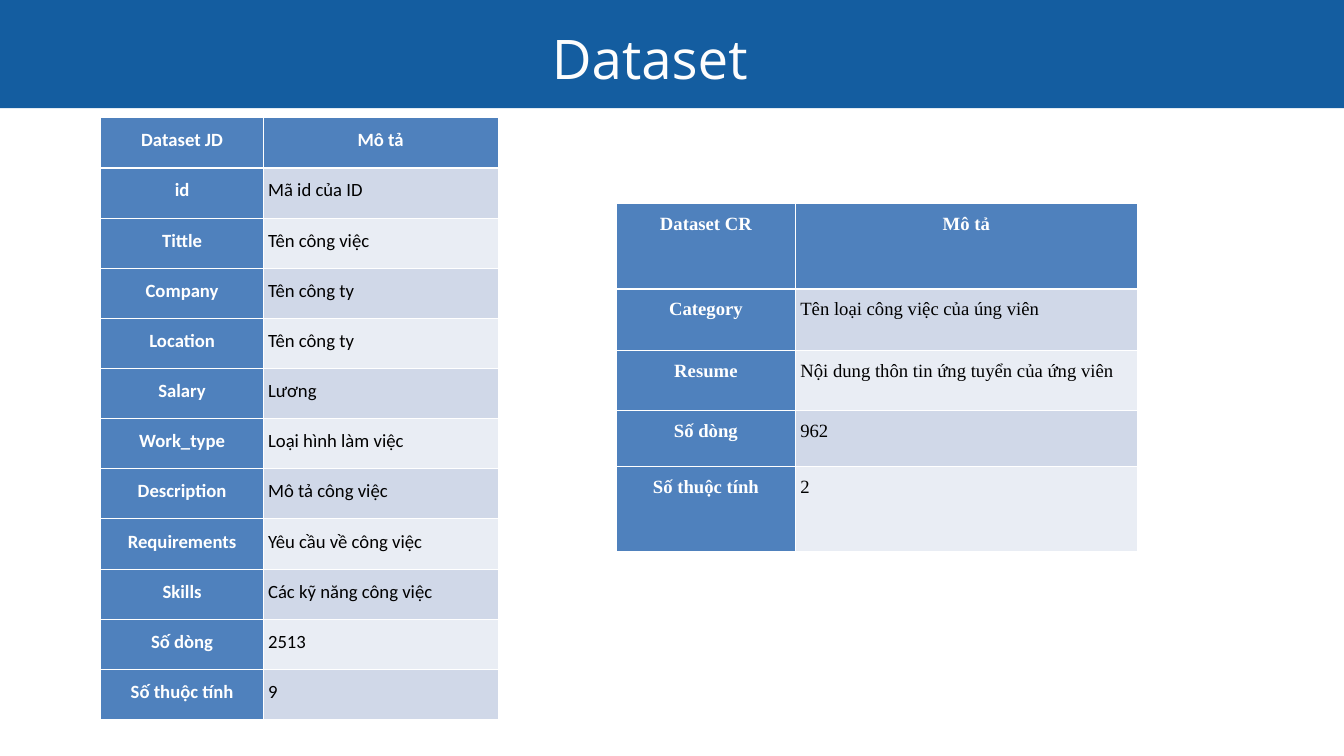
from lxml import etree
from pptx import Presentation
from pptx.dml.color import RGBColor
from pptx.enum.shapes import MSO_SHAPE
from pptx.enum.text import PP_ALIGN
from pptx.oxml.ns import qn
from pptx.util import Inches, Pt

RECTANGLE = MSO_SHAPE.RECTANGLE
CENTER, LEFT = PP_ALIGN.CENTER, PP_ALIGN.LEFT

WHITE, BLACK = "FFFFFF", "000000"
BANNER_BLUE, TITLE_WHITE = "145DA0", "FDFDFD"
HEADER_BLUE = "4F81BD"
BANDS = ("E9EDF4", "D0D8E8")  # even rows, odd rows

JD_ROWS = [
    ("Dataset JD", "Mô tả"),
    ("id", "Mã id của ID"),
    ("Tittle", "Tên công việc"),
    ("Company", "Tên công ty"),
    ("Location", "Tên công ty"),
    ("Salary", "Lương"),
    ("Work_type", "Loại hình làm việc"),
    ("Description", "Mô tả công việc"),
    ("Requirements", "Yêu cầu về công việc"),
    ("Skills", "Các kỹ năng công việc"),
    ("Số dòng", "2513"),
    ("Số thuộc tính", "9"),
]
CR_ROWS = [
    ("Dataset CR", "Mô tả"),
    ("Category", "Tên loại công việc của úng viên"),
    ("Resume", "Nội dung thôn tin ứng tuyển của ứng viên"),
    ("Số dòng", "962"),
    ("Số thuộc tính", "2"),
]


def rgb(hex_color):
    return RGBColor.from_string(hex_color)


def add_run(paragraph, text, font_name, size, color, bold=False):
    run = paragraph.add_run()
    run.text = text
    run.font.name = font_name
    run.font.size = Pt(size)
    run.font.bold = bold
    run.font.color.rgb = rgb(color)


def set_border(cell, side, color, width):
    line = etree.SubElement(cell._tc.get_or_add_tcPr(), qn(f"a:ln{side}"), w=str(Pt(width)))
    fill = etree.SubElement(line, qn("a:solidFill"))
    etree.SubElement(fill, qn("a:srgbClr"), val=color)


def add_banner(slide, left, top, width, height):
    # Blue band
    banner = slide.shapes.add_shape(
        RECTANGLE, Inches(left), Inches(top), Inches(width), Inches(height))
    banner.shadow.inherit = False
    banner.fill.solid()
    banner.fill.fore_color.rgb = rgb(BANNER_BLUE)
    banner.line.fill.background()

    # Title, centred slightly left of the band
    title = slide.shapes.add_textbox(
        Inches(left - 0.33), Inches(top + 0.21), Inches(width), Inches(1.08))
    frame = title.text_frame
    frame.word_wrap = True
    frame.margin_left = frame.margin_right = frame.margin_top = frame.margin_bottom = 0
    heading = frame.paragraphs[0]
    heading.alignment = CENTER
    heading.line_spacing = Pt(82)
    add_run(heading, "Dataset", "Open Sans", 58.5, TITLE_WHITE)


def fill_cell(cell, text, row, column, font_name):
    is_header = row == 0 or column == 0
    # Borders come before the fill in the cell properties
    for side in "LRTB":
        heavy = (row == 0 and side == "B") or (row == 1 and side == "T")
        set_border(cell, side, WHITE, 3 if heavy else 1)
    cell.fill.solid()
    cell.fill.fore_color.rgb = rgb(HEADER_BLUE if is_header else BANDS[row % 2])

    cell.margin_left = cell.margin_right = Inches(0.07)
    cell.margin_top = cell.margin_bottom = 0
    paragraph = cell.text_frame.paragraphs[0]
    paragraph.alignment = CENTER if is_header else LEFT
    paragraph.line_spacing = 1.5
    add_run(paragraph, text, font_name, 20, WHITE if is_header else BLACK, is_header)


def add_dataset_table(slide, left, top, column_widths, row_heights, rows, font_name):
    table = slide.shapes.add_table(
        len(rows), len(column_widths), Inches(left), Inches(top),
        Inches(sum(column_widths)), Inches(sum(row_heights))).table
    for column, width in zip(table.columns, column_widths):
        column.width = Inches(width)
    for table_row, height in zip(table.rows, row_heights):
        table_row.height = Inches(height)
    for r, texts in enumerate(rows):
        for c, text in enumerate(texts):
            fill_cell(table.cell(r, c), text, r, c, font_name)


def main():
    presentation = Presentation()
    presentation.slide_width = Inches(20)
    presentation.slide_height = Inches(11.25)
    slide = presentation.slides.add_slide(presentation.slide_layouts[6])

    add_banner(slide, 0, 0, 20, 1.61)
    # Job descriptions on the left, candidate resumes on the right
    add_dataset_table(slide, 1.5, 1.75, (2.42, 3.49), [8.96 / len(JD_ROWS)] * len(JD_ROWS),
                      JD_ROWS, "Calibri")
    add_dataset_table(slide, 9.17, 3.03, (2.67, 5.08), (1.27, 0.91, 0.9, 0.83, 1.27),
                      CR_ROWS, "Times New Roman")

    presentation.save("out.pptx")


if __name__ == "__main__":
    main()
